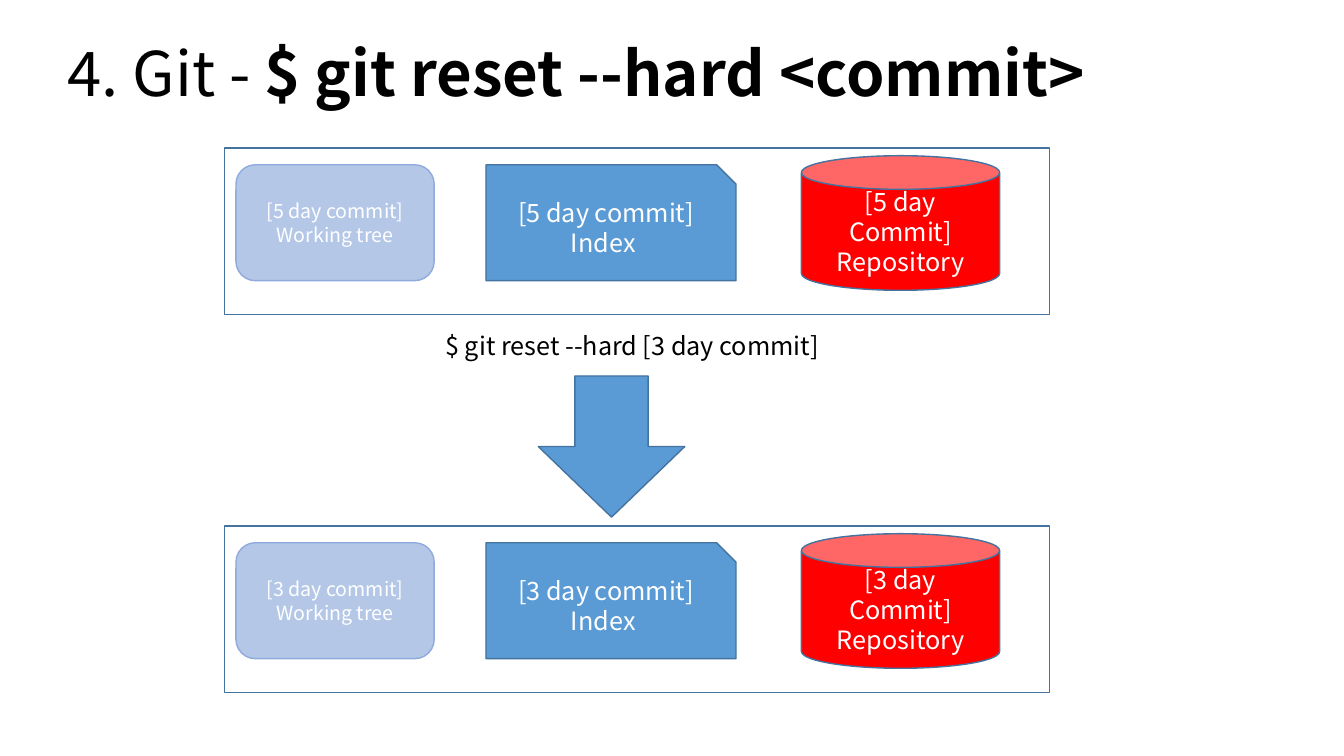
from dataclasses import dataclass

from pptx import Presentation
from pptx.dml.color import RGBColor
from pptx.enum.shapes import MSO_SHAPE
from pptx.enum.text import MSO_ANCHOR, MSO_AUTO_SIZE, PP_ALIGN
from pptx.util import Inches, Pt

ROUNDED, SNIPPED = MSO_SHAPE.ROUNDED_RECTANGLE, MSO_SHAPE.SNIP_1_RECTANGLE
CAN, RECT, DOWN_ARROW = MSO_SHAPE.CAN, MSO_SHAPE.RECTANGLE, MSO_SHAPE.DOWN_ARROW
LEFT, CENTER, MIDDLE = PP_ALIGN.LEFT, PP_ALIGN.CENTER, MSO_ANCHOR.MIDDLE
NO_FIT, GROW = MSO_AUTO_SIZE.NONE, MSO_AUTO_SIZE.SHAPE_TO_FIT_TEXT
TITLE_ONLY = 5


@dataclass(frozen=True)
class Theme:
    font: str = "Noto Sans CJK KR"
    ink: str = "000000"
    paper: str = "FFFFFF"
    blue: str = "5B9BD5"
    outline: str = "43739E"
    pale: str = "B4C7E7"
    pale_outline: str = "8FAADC"
    red: str = "FF0000"
    title: int = 44
    body: int = 18
    small: int = 14


class Deck:
    """Places elements by (left, top, width, height) in percent of the slide."""

    def __init__(self, theme):
        self.theme = theme
        self.prs = Presentation()
        self.prs.slide_width, self.prs.slide_height = Inches(13.33), Inches(7.5)
        self.s = self.prs.slides.add_slide(self.prs.slide_layouts[TITLE_ONLY])

    def box(self, x, y, w, h):
        across, down = self.prs.slide_width / 100, self.prs.slide_height / 100
        return int(x * across), int(y * down), int(w * across), int(h * down)

    def run(self, p, text, size, color, bold=False):
        r = p.add_run()
        r.text = text
        r.font.name, r.font.size, r.font.bold = self.theme.font, Pt(size), bold
        r.font.color.rgb = RGBColor.from_string(color)

    def title(self, area, plain, strong):
        sp = self.s.shapes.title
        sp.left, sp.top, sp.width, sp.height = self.box(*area)
        tf = sp.text_frame
        tf.auto_size, tf.vertical_anchor = NO_FIT, MIDDLE
        p = tf.paragraphs[0]
        p.alignment, p.line_spacing = LEFT, 0.9
        self.run(p, plain, self.theme.title, self.theme.ink)
        self.run(p, strong, self.theme.title, self.theme.ink, bold=True)

    def shape(self, kind, area, fill=None, line=None, lines=(), size=None):
        sp = self.s.shapes.add_shape(kind, *self.box(*area))
        sp.shadow.inherit = False
        if fill:
            sp.fill.solid()
            sp.fill.fore_color.rgb = RGBColor.from_string(fill)
        else:
            sp.fill.background()
        sp.line.color.rgb = RGBColor.from_string(line or self.theme.outline)
        sp.line.width = Pt(1)
        tf = sp.text_frame
        tf.word_wrap, tf.vertical_anchor = True, MIDDLE
        p = tf.paragraphs[0]
        p.alignment = CENTER
        for i, text in enumerate(lines):
            if i:
                p.add_line_break()
            self.run(p, text, size or self.theme.body, self.theme.paper)

    def label(self, area, text):
        tf = self.s.shapes.add_textbox(*self.box(*area)).text_frame
        tf.word_wrap, tf.auto_size = False, GROW
        self.run(tf.paragraphs[0], text, self.theme.body, self.theme.ink)

    def state(self, top, day):
        """One framed row: working tree, index and repository at a commit."""
        t, left = self.theme, 16.73
        box_top, box_height = top + 2.2, 15.33
        self.shape(ROUNDED, (left + 0.83, box_top, 14.75, box_height), t.pale,
                   t.pale_outline, (f"[{day} day commit]", "Working tree"), t.small)
        self.shape(SNIPPED, (left + 19.43, box_top, 18.6, box_height), t.blue,
                   lines=(f"[{day} day commit]", "Index "))
        self.shape(CAN, (left + 42.9, top + 1, 14.75, 17.8), t.red,
                   lines=(f"[{day} day Commit]", "Repository"))
        self.shape(RECT, (left, top, 61.35, 22))


theme = Theme()
deck = Deck(theme)

# Heading
deck.title((4.28, 0.4, 86.25, 19.33), "4. Git - ", "$ git reset --hard <commit>")

# States before and after the reset
for top, day in ((19.6, 5), (69.6, 3)):
    deck.state(top, day)

# Command that leads from one state to the other
deck.shape(DOWN_ARROW, (40.05, 49.73, 10.9, 18.67), theme.blue)
deck.label((32.4, 43.07, 30.15, 5.33), "$ git reset --hard [3 day commit]")

deck.prs.save("out.pptx")
